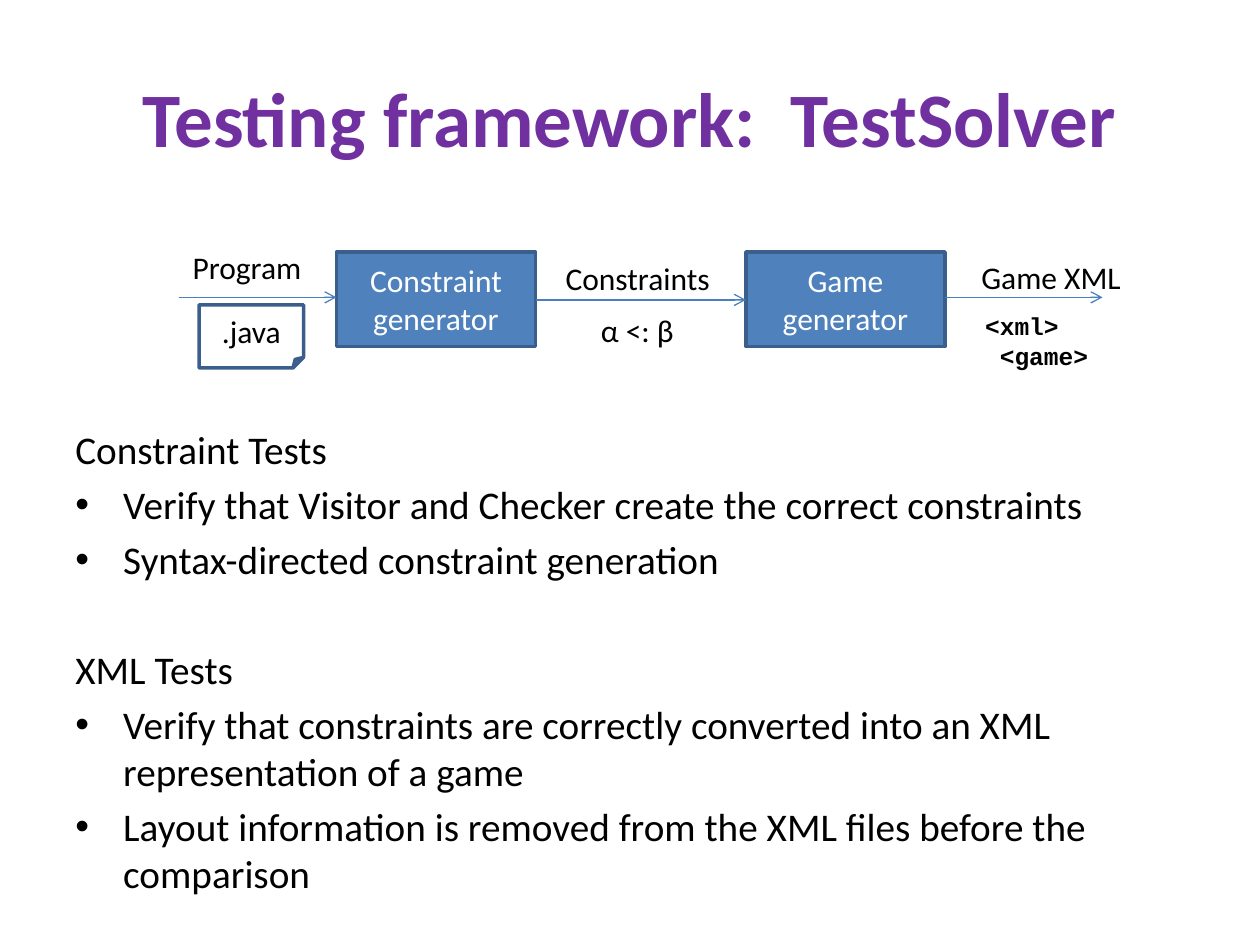
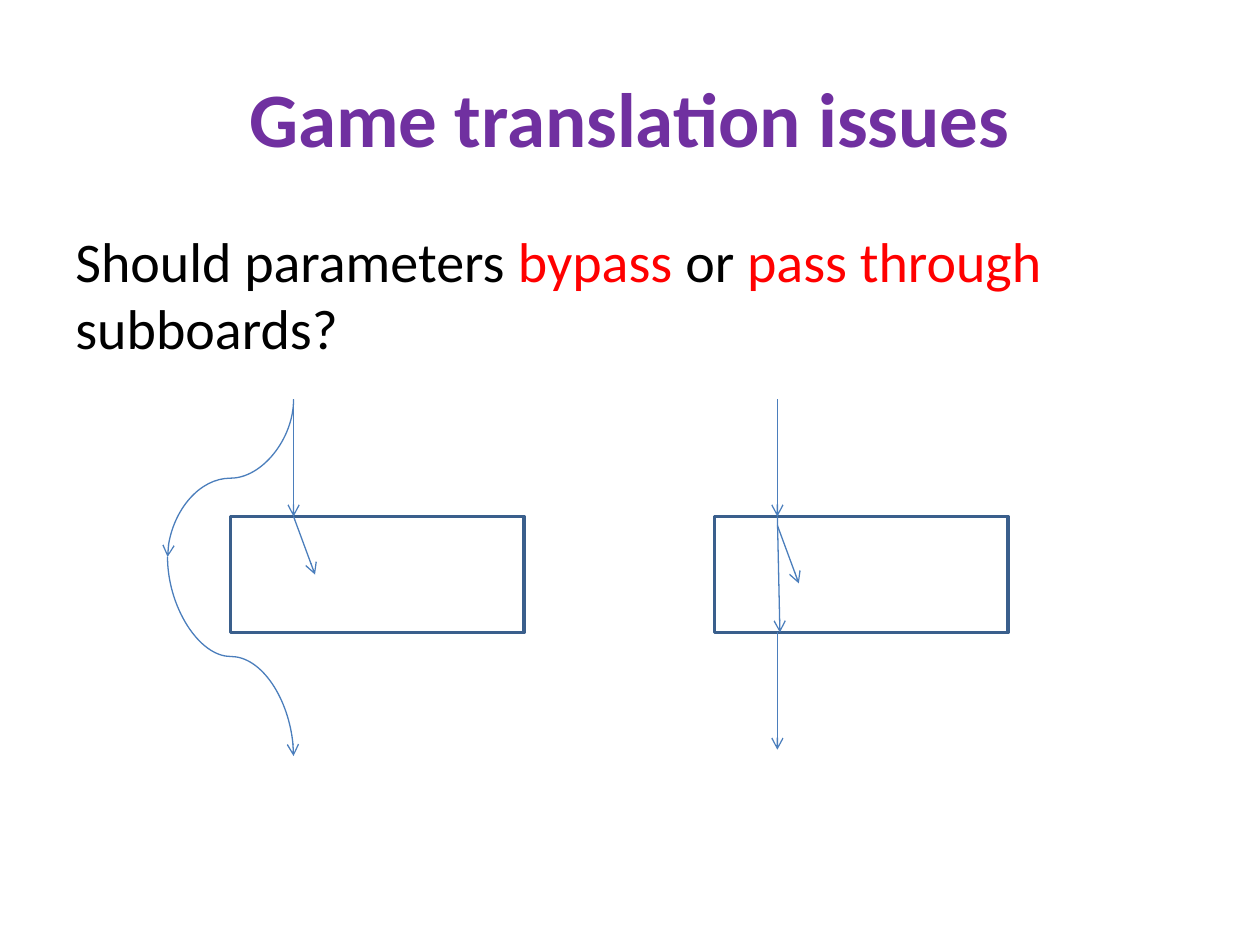
from dataclasses import dataclass
from lxml import etree
from pptx import Presentation
from pptx.dml.color import RGBColor
from pptx.enum.shapes import MSO_CONNECTOR, MSO_SHAPE
from pptx.enum.text import MSO_ANCHOR, PP_ALIGN
from pptx.oxml.ns import qn
from pptx.util import Inches, Pt

RECT, FOLD = MSO_SHAPE.RECTANGLE, MSO_SHAPE.FOLDED_CORNER
LINE, CURVE = MSO_CONNECTOR.STRAIGHT, MSO_CONNECTOR.CURVE
LEFT, MID = PP_ALIGN.LEFT, PP_ALIGN.CENTER
TOP, CENTER = MSO_ANCHOR.TOP, MSO_ANCHOR.MIDDLE


@dataclass(frozen=True)
class Theme:
    font: str = "Calibri"
    mono: str = "Courier New"
    title: str = "7030A0"
    ink: str = "000000"
    light: str = "FFFFFF"
    red: str = "FF0000"
    fill: str = "4F81BD"
    edge: str = "3A5F8C"
    wire: str = "4B7EBC"
    head: float = 44
    lead: float = 32
    body: float = 22.4
    label: float = 18
    code: float = 14


T = Theme()

TITLES = ["Testing framework:  TestSolver", "Game translation issues"]
TESTS = [
    ("Constraint Tests", [
        "Verify that Visitor and Checker create the correct constraints",
        "Syntax-directed constraint generation"]),
    ("XML Tests", [
        "Verify that constraints are correctly converted into an XML representation of a game",
        "Layout information is removed from the XML files before the comparison"]),
]
STAGES = [(2.67, ["Constraint generator"]), (5.92, ["Game", "generator"])]
FLOWS = [(1.42, 2.67, 2.36), (4.25, 5.92, 2.38), (7.5, 8.75, 2.36)]
LABELS = [
    ("Program", (1.43, 1.92, 1.09, 0.4)),
    ("Constraints", (4.39, 2.01, 1.36, 0.4)),
    ("α <: β", (4.67, 2.42, 0.81, 0.4)),
    ("Game XML", (7.69, 2, 1.32, 0.4)),
]
CODE = ["<xml>", " <game>"]
ASK = [("Should parameters ", T.ink), ("bypass ", T.red), ("or ", T.ink),
       ("pass through ", T.red), ("subboards?", T.ink)]

START, ROOF, FLOOR = 3.17, 4.1, 5.02
BOARDS = [1.83, 5.67]
INSET = 0.5
BEND = 4.42


def rgb(code):
    return RGBColor.from_string(code)


def inch(nums):
    return [Inches(n) for n in nums]


def write(frame, paras, size=T.label, color=T.ink, font=T.font, bold=False,
          align=LEFT, anchor=TOP, wrap=True):
    frame.word_wrap = wrap
    frame.vertical_anchor = anchor
    for i, runs in enumerate(paras):
        para = frame.paragraphs[0] if i == 0 else frame.add_paragraph()
        para.alignment = align
        for text, tint in [(runs, color)] if isinstance(runs, str) else runs:
            run = para.add_run()
            run.text = text
            run.font.size = Pt(size)
            run.font.name = font
            run.font.bold = bold
            run.font.color.rgb = rgb(tint)


def label(slide, paras, box, **style):
    frame = slide.shapes.add_textbox(*inch(box)).text_frame
    write(frame, paras, **style)
    return frame


def block(slide, kind, box, fill=None):
    shape = slide.shapes.add_shape(kind, *inch(box))
    shape.shadow.inherit = False
    if fill:
        shape.fill.solid()
        shape.fill.fore_color.rgb = rgb(fill)
    else:
        shape.fill.background()
    shape.line.color.rgb = rgb(T.edge)
    shape.line.width = Pt(2)
    return shape.text_frame


def arrow(slide, x1, y1, x2, y2, kind=LINE, turn=0):
    wire = slide.shapes.add_connector(kind, *inch((x1, y1, x2, y2)))
    wire.line.color.rgb = rgb(T.wire)
    wire.line.width = Pt(0.75)
    props = wire._element.spPr
    etree.SubElement(props.find(qn("a:ln")), qn("a:tailEnd"), type="arrow")
    etree.SubElement(props, qn("a:effectLst"))
    if turn:
        props.find(qn("a:xfrm")).set("rot", str(turn * 60000))


def curve(slide, x1, y1, x2, y2):
    mx, my = (x1 + x2) / 2, (y1 + y2) / 2
    dx, dy = abs(x2 - x1) / 2, (y2 - y1) / 2
    side, turn = (-1, 90) if x2 < x1 else (1, 270)
    arrow(slide, mx + side * dy, my - dx, mx - side * dy, my + dx, CURVE, turn)


def bullet(para):
    props = para._p.get_or_add_pPr()
    props.set("marL", str(Inches(0.38)))
    props.set("indent", str(Inches(-0.38)))
    etree.SubElement(props, qn("a:buFont"), typeface="Arial")
    etree.SubElement(props, qn("a:buChar"), char="•")


def tests(slide):
    lines = [(text, i > 0, i == 0 and g > 0)
             for g, (head, items) in enumerate(TESTS)
             for i, text in enumerate([head, *items])]
    frame = label(slide, [line[0] for line in lines], (0.5, 3.33, 9, 3.37), size=T.body)
    for para, (_, mark, gap) in zip(frame.paragraphs, lines):
        para.space_before = Pt(36 if gap else 4.5)
        if mark:
            bullet(para)


def solver(slide):
    tests(slide)
    for x, paras in STAGES:
        frame = block(slide, RECT, (x, 2, 1.58, 0.75), T.fill)
        write(frame, paras, color=T.light, align=MID, anchor=CENTER)
    for x1, x2, y in FLOWS:
        arrow(slide, x1, y, x2, y)
    file = block(slide, FOLD, (1.58, 2.42, 0.83, 0.5))
    write(file, [".java"], align=MID, anchor=CENTER)
    for text, box in LABELS:
        label(slide, [text], box, wrap=False)
    label(slide, CODE, (7.72, 2.42, 1.02, 0.57), size=T.code, font=T.mono,
          bold=True, wrap=False)


def issues(slide):
    label(slide, [ASK], (0.5, 1.75, 9, 4.95), size=T.lead)
    for x in BOARDS:
        block(slide, RECT, (x, ROOF, 2.33, FLOOR - ROOF))
        arrow(slide, x + INSET, START, x + INSET, ROOF)
    near, far = [x + INSET for x in BOARDS]
    curve(slide, near, START, near - 1, BEND)
    curve(slide, near - 1, BEND, near, 6)
    arrow(slide, far, FLOOR, far, 5.95)
    arrow(slide, far, ROOF, far + 0.02, FLOOR)
    for x, y in [(near, ROOF), (far, ROOF + 0.07)]:
        arrow(slide, x, y, x + 0.17, y + 0.46)


def main():
    deck = Presentation()
    deck.slide_width, deck.slide_height = inch((10, 7.5))
    for title, draw in zip(TITLES, [solver, issues]):
        slide = deck.slides.add_slide(deck.slide_layouts[6])
        label(slide, [title], (0.5, 0.3, 9, 1.25), size=T.head, color=T.title,
              bold=True, align=MID, anchor=CENTER)
        draw(slide)
    deck.save("out.pptx")


if __name__ == "__main__":
    main()
